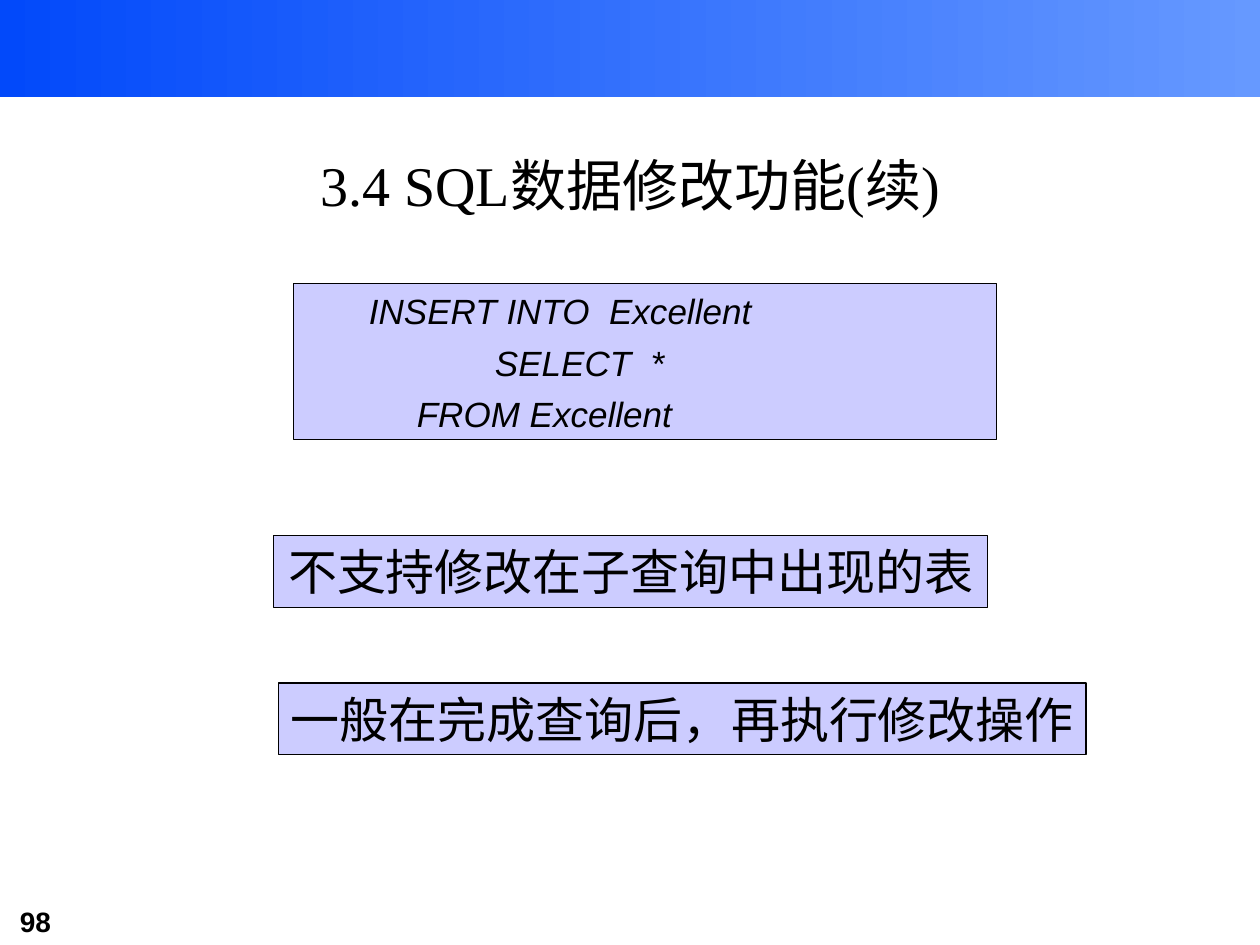
import pptx
import pptx.util
import pptx.dml.color
import pptx.enum.shapes
import pptx.enum.text

Inches = pptx.util.Inches
Pt = pptx.util.Pt
ALIGN = pptx.enum.text.PP_ALIGN
ANCHOR = pptx.enum.text.MSO_ANCHOR

COLORS = {
    "band_start": "0249FA",
    "band_end": "6699FF",
    "panel": "CCCCFF",
    "ink": "000000",
}
TITLE_FONT = {"name": "Times New Roman", "size": Pt(32)}
NOTE_FONT = {"name": "Times New Roman", "size": Pt(28)}
CODE_FONT = {"name": "Arial", "size": Pt(20), "italic": True}
NUMBER_FONT = {"name": "Arial", "size": Pt(16), "bold": True}


def color(name):
    return pptx.dml.color.RGBColor.from_string(COLORS[name])


def set_attributes(target, values):
    for name, value in values.items():
        setattr(target, name, value)


def add_paragraph(paragraph, text, font, layout, indent=0):
    set_attributes(paragraph, layout)
    if indent:
        paragraph._p.get_or_add_pPr().set("marL", str(Inches(indent)))
    run = paragraph.add_run()
    run.text = text
    set_attributes(run.font, font)
    run.font.color.rgb = color("ink")


def add_rectangle(slide, box):
    shape = slide.shapes.add_shape(
        pptx.enum.shapes.MSO_SHAPE.RECTANGLE, *map(Inches, box))
    shape.shadow.inherit = False
    return shape


def add_band(slide, box):
    band = add_rectangle(slide, box)
    band.line.fill.background()
    band.fill.gradient()
    band.fill.gradient_angle = 0
    for stop, position, name in zip(
            band.fill.gradient_stops, (0, 1), ("band_start", "band_end")):
        stop.position = position
        stop.color.rgb = color(name)


def add_label(slide, box, text, font, alignment, anchor):
    label = slide.shapes.add_textbox(*map(Inches, box))
    set_attributes(label.text_frame, {"word_wrap": True, "vertical_anchor": anchor})
    add_paragraph(label.text_frame.paragraphs[0], text, font, {"alignment": alignment})


def add_panel(slide, box, wrap=True):
    panel = add_rectangle(slide, box)
    panel.fill.solid()
    panel.fill.fore_color.rgb = color("panel")
    panel.line.color.rgb = color("ink")
    panel.line.width = Pt(0.75)
    set_attributes(panel.text_frame, {"word_wrap": wrap, "vertical_anchor": ANCHOR.TOP})
    return panel.text_frame


def add_code(slide, box, lines):
    frame = add_panel(slide, box)
    for index, (text, indent) in enumerate(lines):
        paragraph = frame.add_paragraph() if index else frame.paragraphs[0]
        layout = {"alignment": ALIGN.LEFT, "space_before": Pt(5.5 if index else 2)}
        add_paragraph(paragraph, text, CODE_FONT, layout, indent)


def add_note(slide, box, text, wrap=True):
    frame = add_panel(slide, box, wrap)
    add_paragraph(frame.paragraphs[0], text, NOTE_FONT, {"alignment": ALIGN.CENTER})


def main():
    presentation = pptx.Presentation()
    set_attributes(presentation, {"slide_width": Inches(10), "slide_height": Inches(7.5)})
    slide = presentation.slides.add_slide(presentation.slide_layouts[6])
    add_band(slide, (0, 0, 10, 0.77))
    add_label(slide, (0.06, 7.13, 1.22, 0.37), "98", NUMBER_FONT, ALIGN.LEFT, ANCHOR.TOP)
    add_label(slide, (0.75, 1, 8.5, 0.92), "3.4 SQL数据修改功能(续)",
              TITLE_FONT, ALIGN.CENTER, ANCHOR.MIDDLE)
    add_code(slide, (2.33, 2.25, 5.58, 1.24), [
        ("INSERT INTO  Excellent", 0.5),
        ("SELECT  *", 1.5),
        ("FROM Excellent", 0.88),
    ])
    add_note(slide, (2.17, 4.25, 5.67, 0.57), "不支持修改在子查询中出现的表")
    add_note(slide, (2.21, 5.42, 6.41, 0.57), "一般在完成查询后，再执行修改操作", wrap=False)
    presentation.save("out.pptx")


if __name__ == "__main__":
    main()
